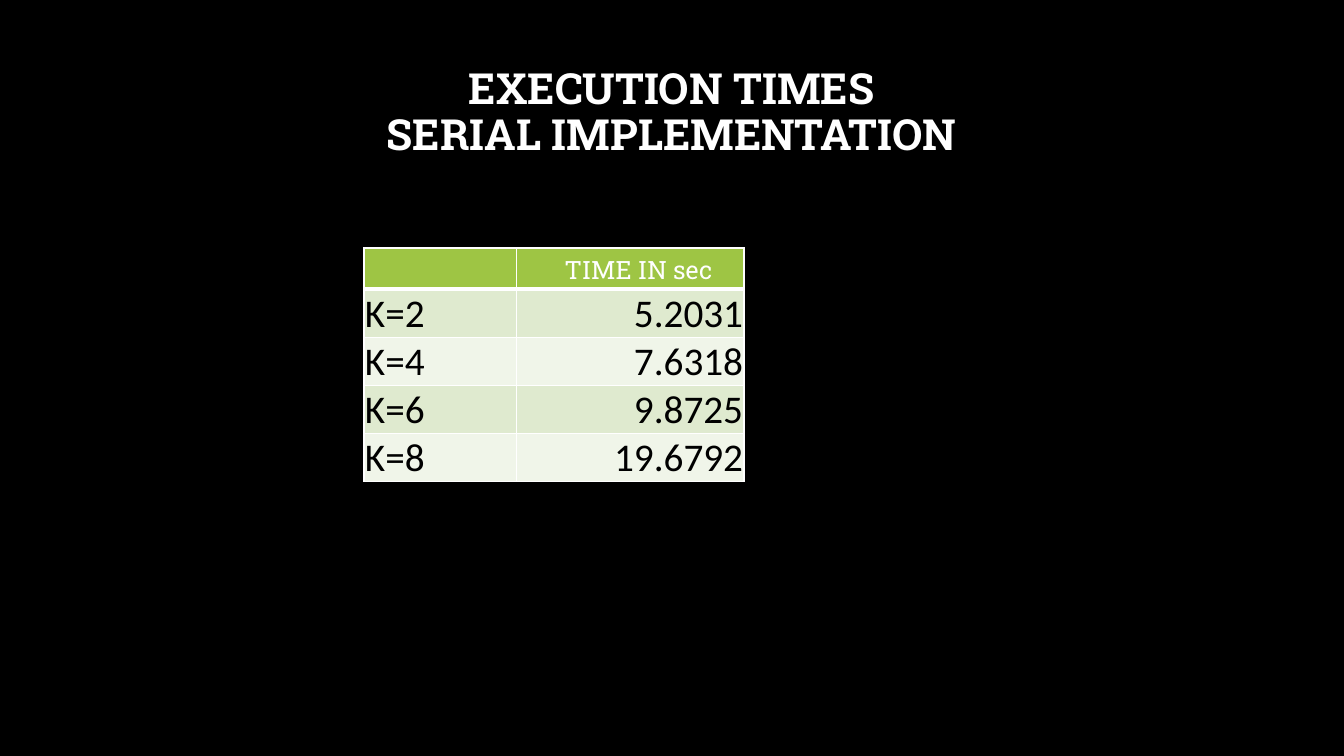
from lxml.etree import SubElement
from pptx import Presentation
from pptx.dml.color import RGBColor
from pptx.enum.text import MSO_ANCHOR, PP_ALIGN
from pptx.oxml.ns import qn
from pptx.util import Emu, Pt

PX = 9144  # 100 px to the inch
COLORS = {"black": "000000", "white": "FFFFFF", "header": "9EC544",
          "band_dark": "DFEACF", "band_light": "F0F5E9"}
TITLE_FONT = {"name": "Roboto Slab", "size": Pt(30.6), "bold": True}
HEADER_FONT = {"name": "Roboto Slab", "size": Pt(18), "bold": False}
BODY_FONT = {"name": "Calibri", "size": Pt(28), "bold": False}
HEADER_CELL = {"margin_left": 48 * PX}
BODY_CELL = {"margin_left": PX, "margin_right": PX, "margin_top": PX,
             "margin_bottom": 0, "vertical_anchor": MSO_ANCHOR.BOTTOM}
TIMES = [("", "TIME IN sec"), ("K=2", "5.2031"), ("K=4", "7.6318"),
         ("K=6", "9.8725"), ("K=8", "19.6792")]


def px(*lengths):
    return [Emu(length * PX) for length in lengths]


def color(name):
    return RGBColor.from_string(COLORS[name])


def set_all(target, values):
    for name, value in values.items():
        setattr(target, name, value)


def write(para, text, font, ink, align):
    para.alignment = align
    para.text = text
    for span in para.runs:
        set_all(span.font, font)
        span.font.color.rgb = color(ink)


def add_title(page, box):
    frame = page.shapes.add_textbox(*px(*box)).text_frame
    set_all(frame, {"word_wrap": True, "margin_top": 0,
                    "vertical_anchor": MSO_ANCHOR.TOP})
    para = frame.paragraphs[0]
    para.line_spacing = 0.9
    write(para, "EXECUTION TIMES\vSERIAL IMPLEMENTATION",
          TITLE_FONT, "white", PP_ALIGN.CENTER)


def add_borders(cell, widths):
    properties = cell._tc.get_or_add_tcPr()
    for side, width in widths.items():
        line = SubElement(properties, qn(f"a:ln{side}"), w=str(Pt(width)))
        fill = SubElement(line, qn("a:solidFill"))
        SubElement(fill, qn("a:srgbClr"), val=COLORS["white"])


def add_times_table(page, box, column_widths, row_heights):
    table = page.shapes.add_table(
        len(row_heights), len(column_widths), *px(*box)).table
    table.horz_banding = False
    for column, width in zip(table.columns, px(*column_widths)):
        column.width = width
    for row, height in zip(table.rows, px(*row_heights)):
        row.height = height

    for row_index, values in enumerate(TIMES):
        is_header = row_index == 0
        # The rule below the header is thicker than the others
        borders = {"L": 1, "R": 1, "T": 3 if row_index == 1 else 1,
                   "B": 3 if is_header else 1}
        band = "band_dark" if row_index % 2 else "band_light"
        for column_index, text in enumerate(values):
            cell = table.cell(row_index, column_index)
            add_borders(cell, borders)
            cell.fill.solid()
            cell.fill.fore_color.rgb = color("header" if is_header else band)
            set_all(cell, HEADER_CELL if is_header else BODY_CELL)
            is_number = column_index == 1 and not is_header
            write(cell.text_frame.paragraphs[0], text,
                  HEADER_FONT if is_header else BODY_FONT,
                  "white" if is_header else "black",
                  PP_ALIGN.RIGHT if is_number else PP_ALIGN.LEFT)


def main():
    deck = Presentation()
    deck.slide_width, deck.slide_height = px(1333, 750)
    page = deck.slides.add_slide(deck.slide_layouts[6])
    page.background.fill.solid()
    page.background.fill.fore_color.rgb = color("black")

    add_title(page, (100, 67, 1132, 145))
    add_times_table(page, (361, 246, 377, 229), (151, 226), (41, 47, 47, 47, 47))
    deck.save("out.pptx")


if __name__ == "__main__":
    main()
